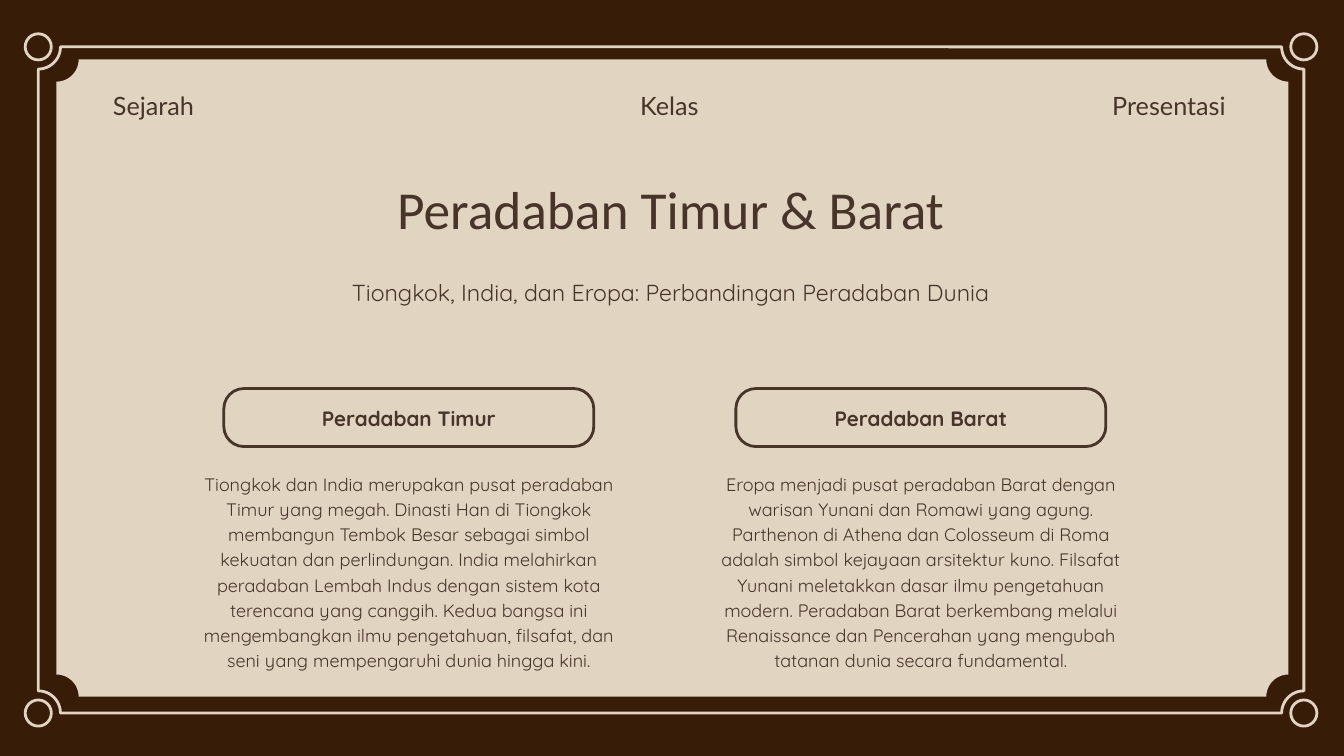
from pptx import Presentation
from pptx.dml.color import RGBColor
from pptx.enum.shapes import MSO_SHAPE
from pptx.enum.text import PP_ALIGN
from pptx.util import Pt

PLAQUE, OVAL, PILL = MSO_SHAPE.PLAQUE, MSO_SHAPE.OVAL, MSO_SHAPE.ROUNDED_RECTANGLE
LEFT, MID, RIGHT = PP_ALIGN.LEFT, PP_ALIGN.CENTER, PP_ALIGN.RIGHT
COLORS = {"dark": "371C08", "sand": "E1D4C1", "ink": "483529"}
WIDE, HIGH = 1440, 810
EAST = (
    "Tiongkok dan India merupakan pusat peradaban Timur yang megah. "
    "Dinasti Han di Tiongkok membangun Tembok Besar sebagai simbol kekuatan dan "
    "perlindungan. India melahirkan peradaban Lembah Indus dengan sistem kota "
    "terencana yang canggih. Kedua bangsa ini mengembangkan ilmu pengetahuan, "
    "filsafat, dan seni yang mempengaruhi dunia hingga kini."
)
WEST = (
    "Eropa menjadi pusat peradaban Barat dengan warisan Yunani dan Romawi yang agung. "
    "Parthenon di Athena dan Colosseum di Roma adalah simbol kejayaan arsitektur kuno. "
    "Filsafat Yunani meletakkan dasar ilmu pengetahuan modern. Peradaban Barat "
    "berkembang melalui Renaissance dan Pencerahan yang mengubah tatanan dunia "
    "secara fundamental."
)


def color(name):
    """Return the named colour."""
    return RGBColor.from_string(COLORS[name])


def add_form(slide, kind, box, fill=None, line=None, curve=None):
    """Add a preset shape with a plain fill or a 3 pt outline."""
    form = slide.shapes.add_shape(kind, *map(Pt, box))
    form.shadow.inherit = False
    if curve:
        form.adjustments[0] = curve / min(box[2:])
    if fill:
        form.fill.solid()
        form.fill.fore_color.rgb = color(fill)
    else:
        form.fill.background()
    if line:
        form.line.color.rgb = color(line)
        form.line.width = Pt(3)
    else:
        form.line.fill.background()


def add_text(slide, box, text, size, lead, font="Quicksand", align=MID, bold=False):
    """Add a wrapped one-paragraph text box without margins."""
    frame = slide.shapes.add_textbox(*map(Pt, box)).text_frame
    frame.word_wrap = True
    frame.margin_left = frame.margin_right = frame.margin_top = frame.margin_bottom = 0
    para = frame.paragraphs[0]
    para.alignment = align
    para.line_spacing = Pt(lead)
    run = para.add_run()
    run.text = text
    run.font.name = font
    run.font.size = Pt(size)
    run.font.bold = bold
    run.font.color.rgb = color("ink")


def add_frame(slide, box):
    """Draw the sand plate, its outline and a ring on each corner."""
    left, top, width, height = box
    plate = (left + 19.5, top + 13.5, width - 36, height - 31)
    add_form(slide, PLAQUE, plate, fill="sand", curve=23.8)
    add_form(slide, PLAQUE, box, line="sand", curve=23.8)
    ring = 28
    for y in (top, top + height):
        for x in (left, left + width):
            add_form(slide, OVAL, (x - ring / 2, y - ring / 2, ring, ring), line="sand")


def add_header(slide, box):
    """Set the three labels along the top."""
    for text, align in (("Sejarah", LEFT), ("Kelas", MID), ("Presentasi", RIGHT)):
        add_text(slide, box, text, 27, 37.8, "Lato", align)


def add_title(slide, box):
    """Set the title and the line below it."""
    left, top, width, _ = box
    add_text(slide, (left, top, width, 64), "Peradaban Timur & Barat", 57.2, 61.8, "Calibri")
    add_text(slide, (left, top + 98, width, 33),
             "Tiongkok, India, dan Eropa: Perbandingan Peradaban Dunia", 24.8, 34.7)


def add_column(slide, box, head, body):
    """Set a pill heading above centred body text."""
    left, top, width, height = box
    pill = 396.4
    start = left + (width - pill) / 2
    add_form(slide, PILL, (start, top, pill, 62.2), line="ink", curve=21.5)
    add_text(slide, (start, top + 13.6, pill, 30), head, 22.2, 31.1, bold=True)
    add_text(slide, (left, top + 87, width, height - 87), body, 19.3, 27)


def main():
    """Build the slide and save it."""
    deck = Presentation()
    deck.slide_width, deck.slide_height = Pt(WIDE), Pt(HIGH)
    slide = deck.slides.add_slide(deck.slide_layouts[6])
    slide.background.fill.solid()
    slide.background.fill.fore_color.rgb = color("dark")
    add_frame(slide, (41, 50.2, 1356, 713.8))
    add_title(slide, (278, 195.1, 881.3, 131))
    add_header(slide, (121, 91.5, 1192.2, 36.7))
    parts = (("Peradaban Timur", EAST), ("Peradaban Barat", WEST))
    for index, (head, body) in enumerate(parts):
        add_column(slide, (215.2 + index * 548.6, 416.3, 445.7, 303), head, body)
    deck.save("out.pptx")


if __name__ == "__main__":
    main()
